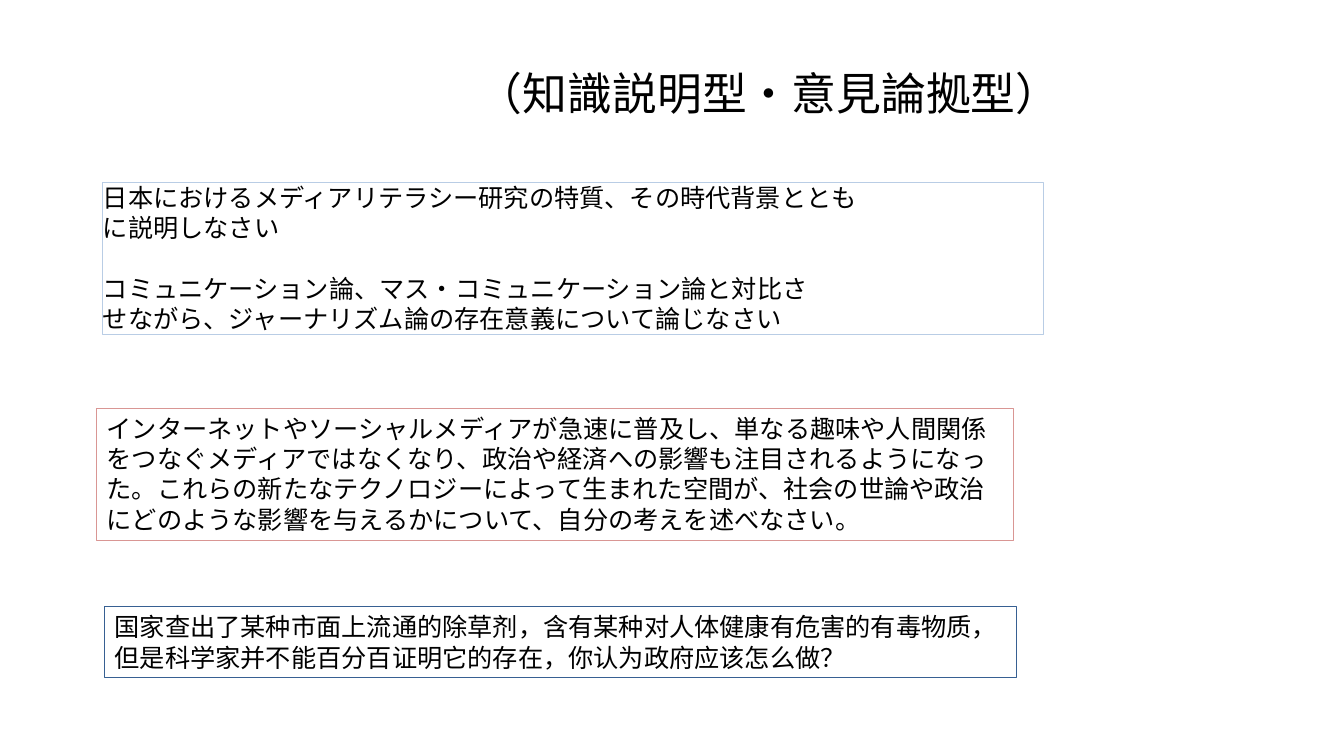
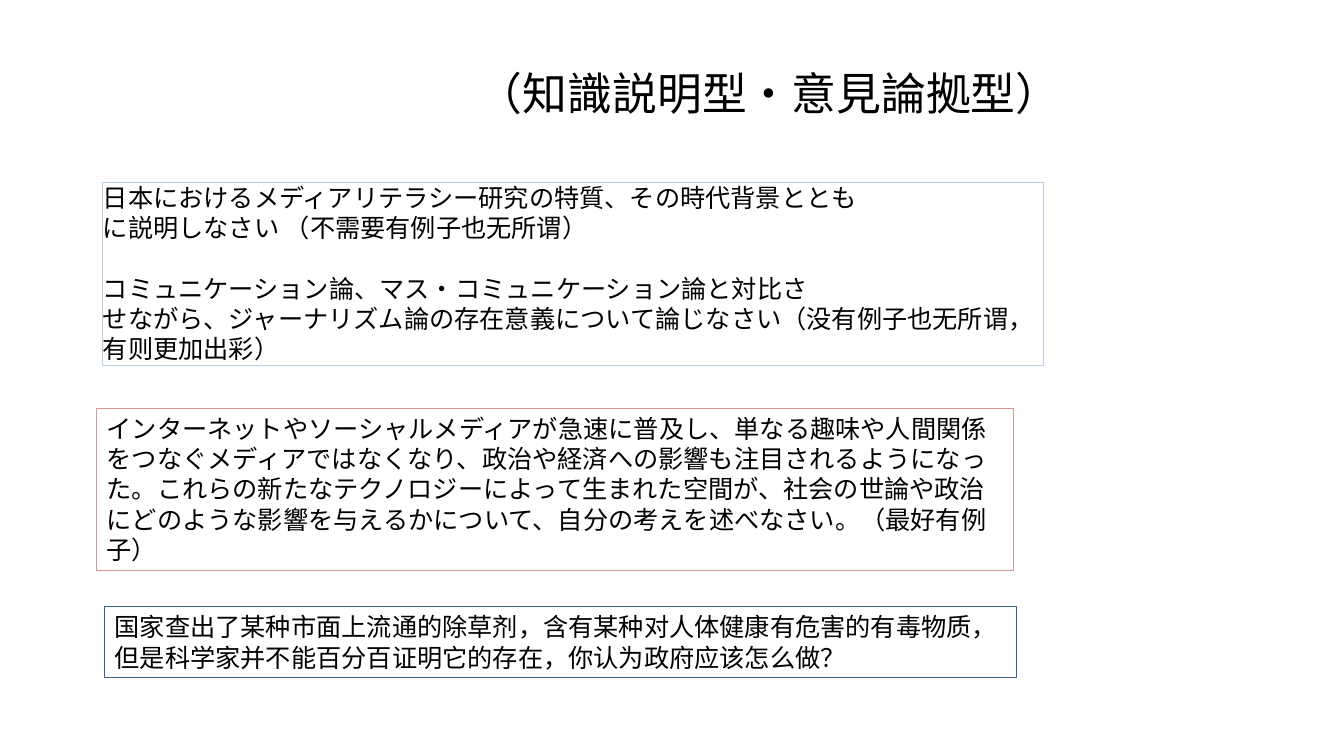
from pptx import Presentation
from pptx.dml.color import RGBColor
from pptx.enum.shapes import MSO_SHAPE
from pptx.enum.text import MSO_ANCHOR, PP_ALIGN
from pptx.oxml.ns import qn
from pptx.util import Inches, Pt

RECTANGLE = MSO_SHAPE.RECTANGLE
TOP = MSO_ANCHOR.TOP
LEFT = PP_ALIGN.LEFT

SLIDE_WIDTH, SLIDE_HEIGHT = 13.33, 7.5
BODY_FONT, TITLE_FONT = "Calibri", "Noto Sans CJK SC"
INK, PALE_BLUE, ROSE, NAVY = "000000", "B9CDE5", "D99694", "376092"
BODY_SIZE, TITLE_SIZE = 18, 32
LINE_HEIGHT = 0.3025  # inches taken by one line of body text
BLANK_LINE = 21.6  # points between two questions in one box
PADDING = (0.1, 0.05)

TITLE = "（知識説明型・意見論拠型）"
MEDIA_QUESTION = (
    "⽇本におけるメディアリテラシー研究の特質、その時代背景ととも",
    "に説明しなさい",
)
JOURNALISM_QUESTION = (
    "コミュニケーション論、マス・コミュニケーション論と対比さ",
    "せながら、ジャーナリズム論の存在意義について論じなさい",
)
INTERNET_QUESTION = (
    "インターネットやソーシャルメディアが急速に普及し、単なる趣味や⼈間関係"
    "をつなぐメディアではなくなり、政治や経済への影響も注⽬されるようになっ"
    "た。これらの新たなテクノロジーによって⽣まれた空間が、社会の世論や政治"
    "にどのような影響を与えるかについて、⾃分の考えを述べなさい。"
)
HERBICIDE_QUESTION = (
    "国家查出了某种市面上流通的除草剂，含有某种对人体健康有危害的有毒物质，"
    "但是科学家并不能百分百证明它的存在，你认为政府应该怎么做？"
)


def color(value):
    return RGBColor.from_string(value)


def write(frame, text, *, first=False, size=BODY_SIZE, font=BODY_FONT,
          ink=INK, gap=0):
    """Add one paragraph, with the East Asian glyphs on the same font metrics."""
    para = frame.paragraphs[0] if first else frame.add_paragraph()
    para.alignment = LEFT
    para.space_before = Pt(gap)
    span = para.add_run()
    span.text = text
    span.font.size = Pt(size)
    span.font.name = font
    span.font.color.rgb = color(ink)
    east_asian = span.font._element.makeelement(
        qn("a:ea"), {"typeface": BODY_FONT})
    span.font._element.find(qn("a:latin")).addnext(east_asian)


def set_frame(box, padding):
    frame = box.text_frame
    frame.word_wrap = True
    frame.vertical_anchor = TOP
    frame.margin_left = frame.margin_right = Inches(padding[0])
    frame.margin_top = frame.margin_bottom = Inches(padding[1])
    return frame


def add_title(page):
    box = page.shapes.add_textbox(
        Inches(4.74), Inches(0.65), Inches(7.37), Inches(0.54))
    write(set_frame(box, (0, 0)), TITLE, first=True,
          size=TITLE_SIZE, font=TITLE_FONT)


def add_question_box(page, left, top, width, questions, *, lines, outline,
                     padding=PADDING):
    """Frame a list of questions, each a tuple of paragraphs."""
    height = lines * LINE_HEIGHT + 2 * padding[1]
    box = page.shapes.add_shape(
        RECTANGLE, Inches(left), Inches(top), Inches(width), Inches(height))
    box.shadow.inherit = False
    box.fill.background()
    box.line.color.rgb = color(outline)
    box.line.width = Pt(0.75)
    frame = set_frame(box, padding)
    for number, question in enumerate(questions):
        for row, text in enumerate(question):
            write(frame, text, first=number == row == 0,
                  gap=BLANK_LINE if number and row == 0 else 0)


def add_question_page(deck, media_note="", journalism_note="",
                      internet_note=""):
    """Build the page of exam questions, with optional notes after them."""
    extra = 1 if internet_note else 0
    page = deck.slides.add_slide(deck.slide_layouts[6])
    add_title(page)
    knowledge = [
        (first_row, last_row + note)
        for (first_row, last_row), note in (
            (MEDIA_QUESTION, media_note),
            (JOURNALISM_QUESTION, journalism_note),
        )
    ]
    add_question_box(page, 1.02, 1.81, 9.33, knowledge, lines=5 + extra,
                     outline=PALE_BLUE, padding=(0, 0))
    add_question_box(page, 0.96, 4.05, 9.09,
                     [(INTERNET_QUESTION + internet_note,)],
                     lines=4 + extra, outline=ROSE)
    add_question_box(page, 1.04, 6.02, 9.04, [(HERBICIDE_QUESTION,)],
                     lines=2, outline=NAVY)


def main():
    deck = Presentation()
    deck.slide_width = Inches(SLIDE_WIDTH)
    deck.slide_height = Inches(SLIDE_HEIGHT)
    add_question_page(deck)
    add_question_page(
        deck,
        media_note=" （不需要有例子也无所谓）",
        journalism_note="（没有例子也无所谓，有则更加出彩）",
        internet_note="（最好有例子）",
    )
    deck.save("out.pptx")


if __name__ == "__main__":
    main()
